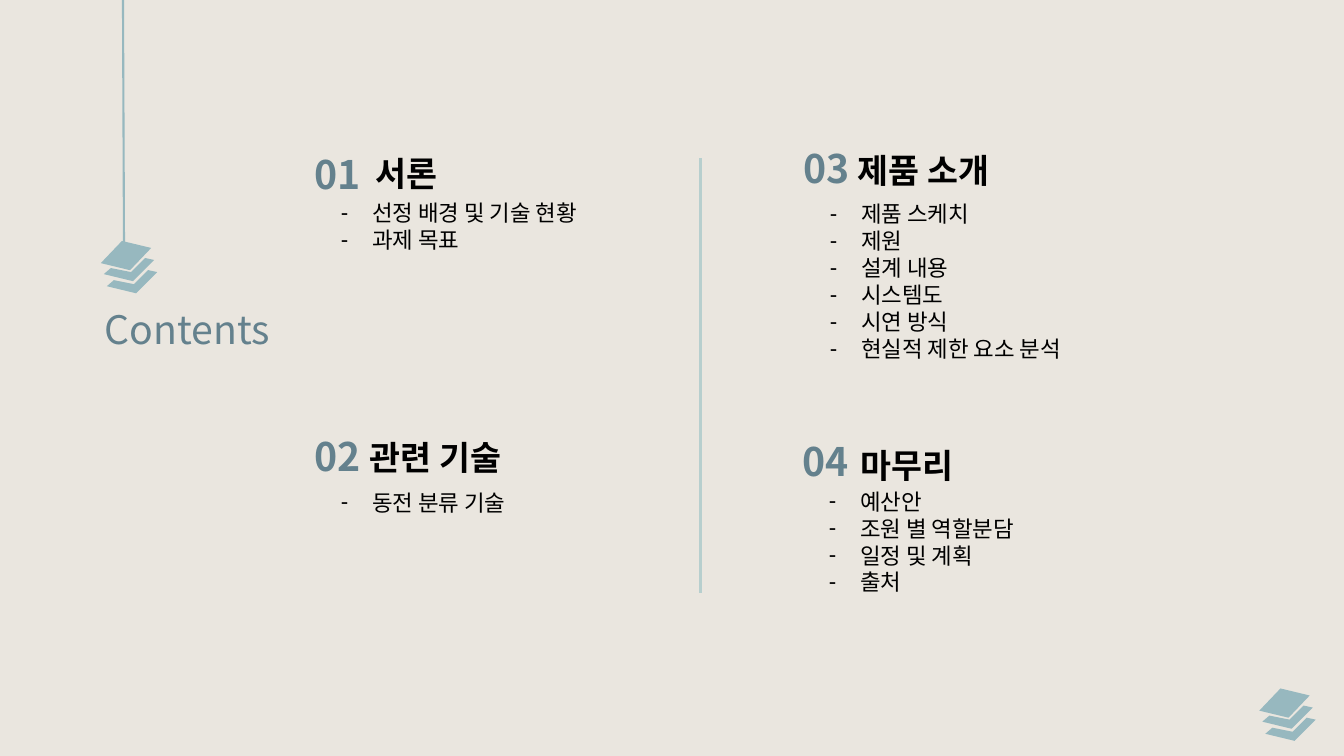
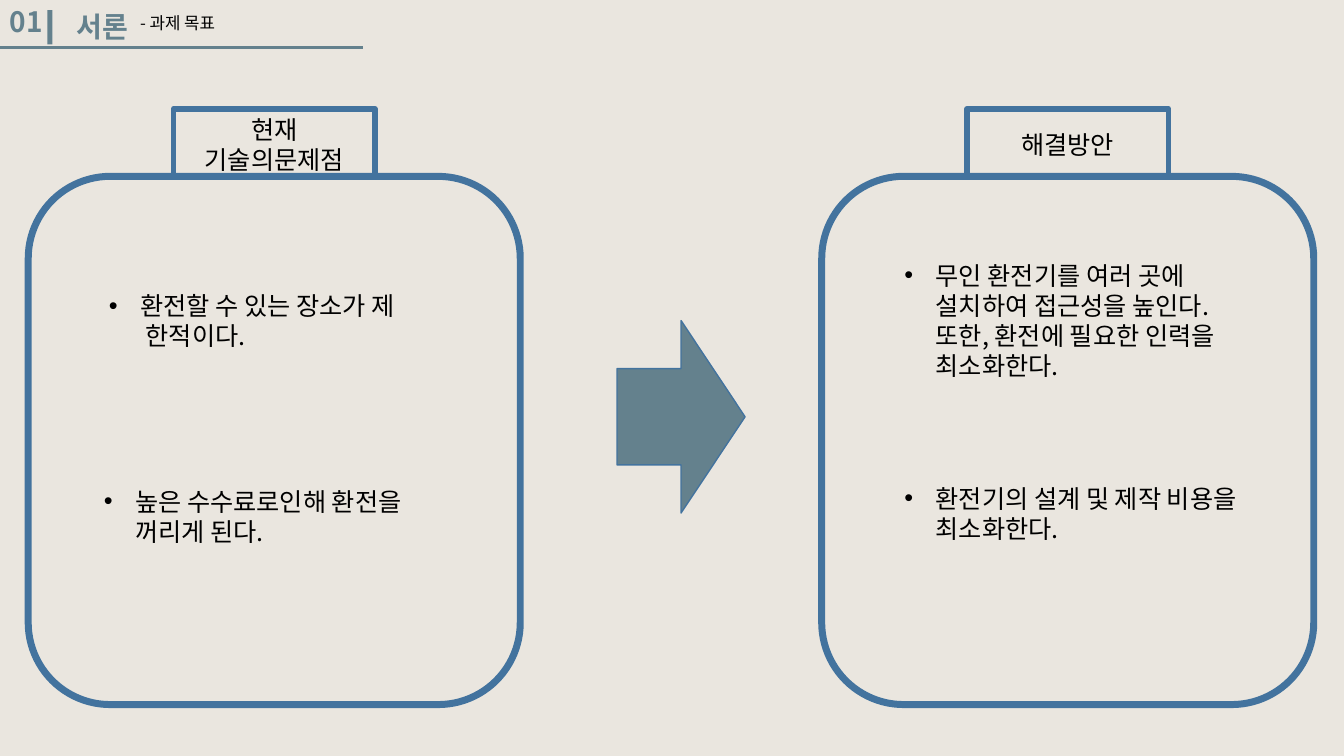
from dataclasses import dataclass
from lxml.etree import SubElement as Sub
from pptx import Presentation
from pptx.dml.color import RGBColor as Rgb
from pptx.enum.shapes import MSO_CONNECTOR as Conn, MSO_SHAPE as Kind
from pptx.enum.text import MSO_ANCHOR as Anchor, MSO_AUTO_SIZE as Fit, PP_ALIGN as Align
from pptx.oxml.ns import qn
from pptx.util import Inches, Pt


@dataclass(frozen=True)
class Theme:
    font: str = "Noto Sans CJK KR"
    paper: str = "EAE6DF"
    slate: str = "64818D"
    mist: str = "97B8BF"
    pale: str = "B7CFCE"
    blue: str = "43739E"
    ink: str = "000000"
    big: int = 28
    head: int = 24
    mark: int = 20
    point: int = 18
    item: int = 16
    small: int = 12
    indent: float = 0.31


T = Theme()


def place(shape, box):
    shape.left, shape.top, shape.width, shape.height = map(Inches, box)


def write(shape, lines, size, color=T.ink, bold=False, align=Align.LEFT,
          anchor=Anchor.TOP, bullet=None):
    frame = shape.text_frame
    frame.word_wrap = True
    frame.auto_size = Fit.NONE
    frame.vertical_anchor = anchor
    frame.text = "\n".join(lines)
    for para in frame.paragraphs:
        para.alignment = align
        para.space_before = Pt(0)
        props = para._p.get_or_add_pPr()
        if bullet:
            props.set("marL", str(Inches(T.indent)))
            props.set("indent", str(-Inches(T.indent)))
            Sub(props, qn("a:buChar")).set("char", bullet)
        font = para.font
        font.size, font.bold, font.name = Pt(size), bold, T.font
        font.color.rgb = Rgb.from_string(color)
        Sub(props.find(qn("a:defRPr")), qn("a:ea")).set("typeface", T.font)


def label(slide, box, text, size, **style):
    write(slide.shapes.add_textbox(*map(Inches, box)), [text], size, **style)


def title(slide, box, text, size, bold=False):
    place(slide.shapes.title, box)
    write(slide.shapes.title, [text], size, T.slate, bold)


def bullets(slide, slot, box, lines, size, mark):
    body = slide.placeholders[slot]
    place(body, box)
    write(body, lines, size, bullet=mark)


def paint(shape, fill=None, line=None, width=0):
    shape.shadow.inherit = False
    if fill:
        shape.fill.solid()
        shape.fill.fore_color.rgb = Rgb.from_string(fill)
    else:
        shape.fill.background()
    if line:
        shape.line.color.rgb = Rgb.from_string(line)
        shape.line.width = Pt(width)
    else:
        shape.line.fill.background()


def block(slide, kind, box, **style):
    paint(slide.shapes.add_shape(kind, *map(Inches, box)), **style)


def rule(slide, start, end, color, width):
    line = slide.shapes.add_connector(Conn.STRAIGHT, *map(Inches, start + end))
    line.line.color.rgb = Rgb.from_string(color)
    line.line.width = Pt(width)
    Sub(line._element.spPr, qn("a:effectLst"))


def stack(slide, left, top):
    sheet = [(0.21, 0), (0.5, 0.07), (0.29, 0.29), (0, 0.22)]
    edge = [(0.1, 0.27), (0.3, 0.31), (0.44, 0.17), (0.53, 0.19), (0.32, 0.4), (0.03, 0.33)]
    lower = [(x + 0.03, y + 0.12) for x, y in edge]
    for layer in (sheet, edge, lower):
        spots = [(Inches(left + x), Inches(top + y)) for x, y in layer]
        pen = slide.shapes.build_freeform(*spots[0])
        pen.add_line_segments(spots[1:], close=True)
        paint(pen.convert_to_shape(), fill=T.mist)


def chapter(slide, slot, left, top, name, items, shift, drop, gap):
    label(slide, (left, top, 0.8, 0.57), f"{slot:02}", T.big, color=T.slate, bold=True)
    label(slide, (left + shift, top + drop, 2.17, 0.5), name, T.head, bold=True)
    bullets(slide, slot, (left + 0.26, top + gap, 2.86, 0.1 + 0.27 * len(items)),
            items, T.item, "-")


def contents(slide):
    title(slide, (0.94, 2.98, 2.2, 0.57), "Contents", T.big)
    rule(slide, (1.22, 0), (1.23, 2.44), T.mist, 1.5)
    stack(slide, 1, 2.39)
    stack(slide, 12.49, 6.83)
    rule(slide, (6.95, 1.57), (6.95, 5.88), T.pale, 2)
    parts = [
        (3.02, 1.44, "서론", ["선정 배경 및 기술 현황", "과제 목표"], 0.61, 0.03, 0.49),
        (3.02, 4.24, "관련 기술", ["동전 분류 기술"], 0.55, 0.05, 0.56),
        (7.87, 1.38, "제품 소개",
         ["제품 스케치", "제원", "설계 내용", "시스템도", "시연 방식", "현실적 제한 요소 분석"],
         0.54, 0.06, 0.56),
        (7.86, 4.29, "마무리", ["예산안", "조원 별 역할분담", "일정 및 계획", "출처"],
         0.58, 0.07, 0.5),
    ]
    for slot, part in enumerate(parts, 1):
        chapter(slide, slot, *part)


def header(slide, number, name, topic):
    label(slide, (0, 0, 0.74, 0.44), number, T.mark, color=T.slate, bold=True)
    block(slide, Kind.RECTANGLE, (0.47, 0.1, 0.05, 0.34), fill=T.slate)
    rule(slide, (0, 0.47), (3.6, 0.47), T.slate, 2.25)
    title(slide, (0.66, 0.04, 3.41, 0.44), name, T.mark, True)
    label(slide, (1.29, 0.08, 2.49, 0.3), f"- {topic}", T.small)


def jar(slide, left, top, name, first, points):
    wide, lid, inner, rise = 4.88, 2, 1.62, 0.67
    block(slide, Kind.ROUNDED_RECTANGLE, (left, top, wide, 5.24), line=T.blue, width=5)
    block(slide, Kind.RECTANGLE, (left + (wide - lid) / 2, top - rise, lid, rise),
          line=T.blue, width=4)
    label(slide, (left + (wide - inner) / 2, top - rise, inner, 0.7), name, T.point,
          align=Align.CENTER, anchor=Anchor.MIDDLE)
    for slot, (x, y, span, text) in enumerate(points, first):
        bullets(slide, slot, (left + x, top + y, span, 0.71), [text], T.point, "•")


def goals(slide):
    header(slide, "01", "서론", "과제 목표")
    jar(slide, 0.28, 1.75, "현재 기술의문제점", 1, [
        (0.7, 1.08, 3.42, "환전할 수 있는 장소가 제\v 한적이다."),
        (0.65, 3.02, 3.52, "높은 수수료로인해 환전을 꺼리게 된다."),
    ])
    jar(slide, 8.15, 1.75, "해결방안", 3, [
        (0.72, 0.78, 3.64,
         "무인 환전기를 여러 곳에 설치하여 접근성을 높인다. 또한, 환전에 필요한 인력을 최소화한다."),
        (0.72, 2.99, 3.64, "환전기의 설계 및 제작 비용을 최소화한다."),
    ])
    block(slide, Kind.RIGHT_ARROW, (6.12, 3.18, 1.27, 1.91),
          fill=T.slate, line=T.blue, width=1)


def main():
    deck = Presentation()
    deck.slide_width, deck.slide_height = Inches(13.33), Inches(7.5)
    back = deck.slide_master.background.fill
    back.solid()
    back.fore_color.rgb = Rgb.from_string(T.paper)
    layout = deck.slide_layouts.get_by_name("Comparison")
    for build in (contents, goals):
        build(deck.slides.add_slide(layout))
    deck.save("out.pptx")


if __name__ == "__main__":
    main()
